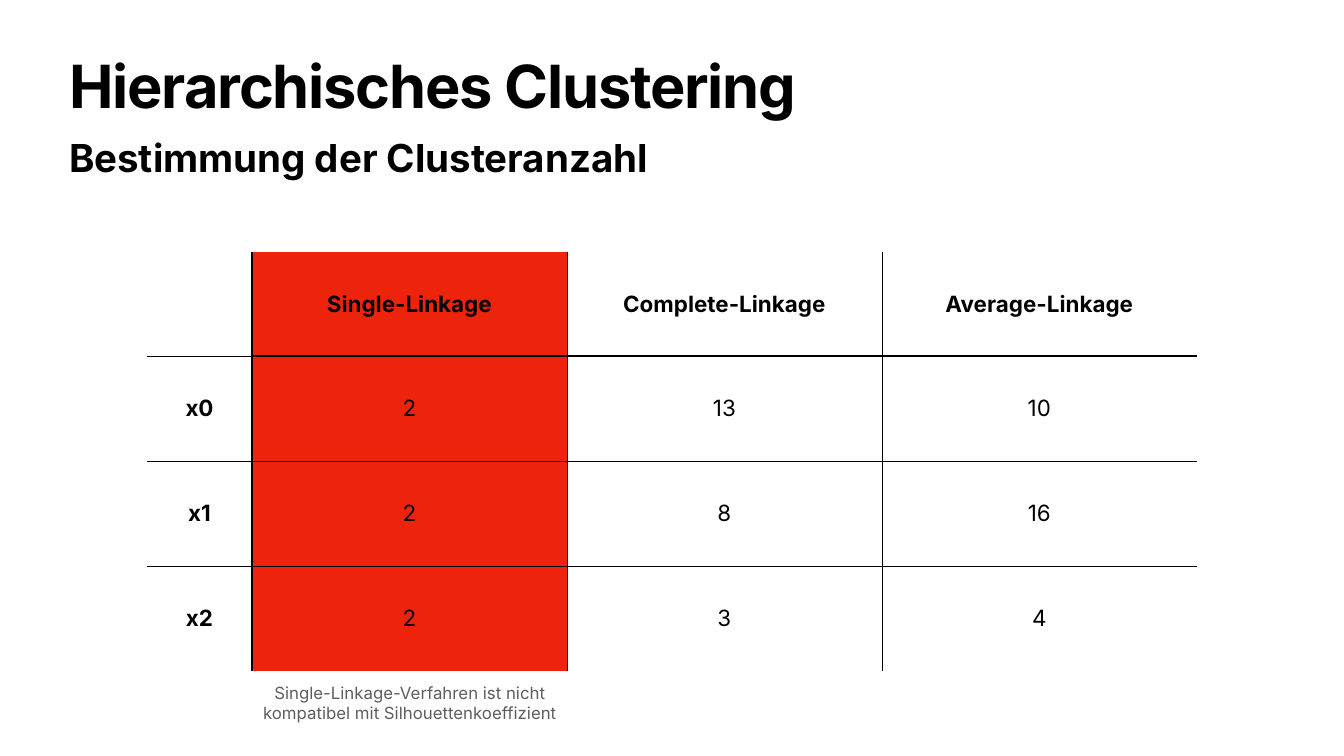
from lxml.etree import SubElement
from pptx import Presentation
from pptx.dml.color import RGBColor
from pptx.enum.text import MSO_ANCHOR, MSO_AUTO_SIZE, PP_ALIGN
from pptx.oxml.ns import qn
from pptx.util import Inches, Pt

COLORS = {"ink": "000000", "highlight": "EE230C", "note": "5E5E5E"}
FONT = "Inter"


def write(frame, text, size=32, color="ink", bold=False, align=PP_ALIGN.CENTER,
          anchor=MSO_ANCHOR.MIDDLE, spacing=None, tracking=None):
    frame.word_wrap = True
    frame.vertical_anchor = anchor
    para = frame.paragraphs[0]
    para.alignment = align
    para.line_spacing = spacing
    span = para.add_run()
    span.text = text
    span.font.name = FONT
    span.font.size = Pt(size)
    span.font.bold = bold
    span.font.color.rgb = RGBColor.from_string(COLORS[color])
    if tracking is not None:
        span.font._element.set("spc", str(round(tracking * 100)))
    return para


def draw_border(cell, side, width):
    line = SubElement(cell._tc.get_or_add_tcPr(), qn(f"a:ln{side}"), w=str(Pt(width)))
    if width:
        fill = SubElement(line, qn("a:solidFill"))
        SubElement(fill, qn("a:srgbClr"), val=COLORS["ink"])
    else:
        SubElement(line, qn("a:noFill"))


deck = Presentation()
deck.slide_width = Inches(26.67)
deck.slide_height = Inches(15)
page = deck.slides.add_slide(deck.slide_layouts[1])
title, subtitle = page.placeholders

for box, top, height, inset in ((title, 1.18, 1.57, 0.06), (subtitle, 2.6, 1.02, 0.05)):
    box.left, box.top = Inches(1.32), Inches(top)
    box.width, box.height = Inches(24.03), Inches(height)
    frame = box.text_frame
    frame.auto_size = MSO_AUTO_SIZE.NONE
    frame.margin_left = frame.margin_right = Inches(inset)
    frame.margin_top = frame.margin_bottom = Inches(inset)

write(title.text_frame, "Hierarchisches Clustering", size=85, bold=True,
      align=PP_ALIGN.LEFT, anchor=MSO_ANCHOR.TOP, spacing=0.8, tracking=-1.7)
para = write(subtitle.text_frame, "Bestimmung der Clusteranzahl", size=55, bold=True,
             align=PP_ALIGN.LEFT, anchor=MSO_ANCHOR.TOP)
para.space_before = Pt(0)
properties = para._p.get_or_add_pPr()
properties.set("marL", "0")
properties.set("indent", "0")
SubElement(properties, qn("a:buNone"))

rows = [
    ["", "Single-Linkage", "Complete-Linkage", "Average-Linkage"],
    ["x0", "2", "13", "10"],
    ["x1", "2", "8", "16"],
    ["x2", "2", "3", "4"],
]
column_widths = [2.08, 6.25, 6.25, 6.25]
row_height = 2.08
last_row, last_column = len(rows) - 1, len(column_widths) - 1

table = page.shapes.add_table(
    len(rows), len(column_widths), Inches(2.92), Inches(4.99),
    Inches(sum(column_widths)), Inches(row_height * len(rows))).table
table.first_row = table.horz_banding = False
for column, width in zip(table.columns, column_widths):
    column.width = Inches(width)
row_lines = [0, 3, 1, 1, 0]
column_lines = [0, 3, 1, 1, 0]

for r, values in enumerate(rows):
    table.rows[r].height = Inches(row_height)
    for c, value in enumerate(values):
        cell = table.cell(r, c)
        cell.margin_left = cell.margin_right = Inches(0.06)
        cell.margin_top = cell.margin_bottom = Inches(0.06)
        cell.vertical_anchor = MSO_ANCHOR.MIDDLE
        if value:
            write(cell.text_frame, value, bold=r == 0 or c == 0, anchor=None)
        above, below = row_lines[r], row_lines[r + 1]
        if c == 0:
            above, below = min(above, 1), min(below, 1)
        for side, width in (("L", column_lines[c]), ("R", column_lines[c + 1]),
                            ("T", above), ("B", below)):
            draw_border(cell, side, width)
        if c == 1:
            cell.fill.solid()
            cell.fill.fore_color.rgb = RGBColor.from_string(COLORS["highlight"])
        else:
            cell.fill.background()

note = page.shapes.add_textbox(Inches(5.02), Inches(13.49), Inches(6.22), Inches(0.91))
frame = note.text_frame
frame.margin_left = frame.margin_right = Inches(0.06)
frame.margin_top = frame.margin_bottom = Inches(0.06)
write(frame, "Single-Linkage-Verfahren ist nicht kompatibel mit Silhouettenkoeffizient",
      size=24, color="note")

deck.save("out.pptx")
